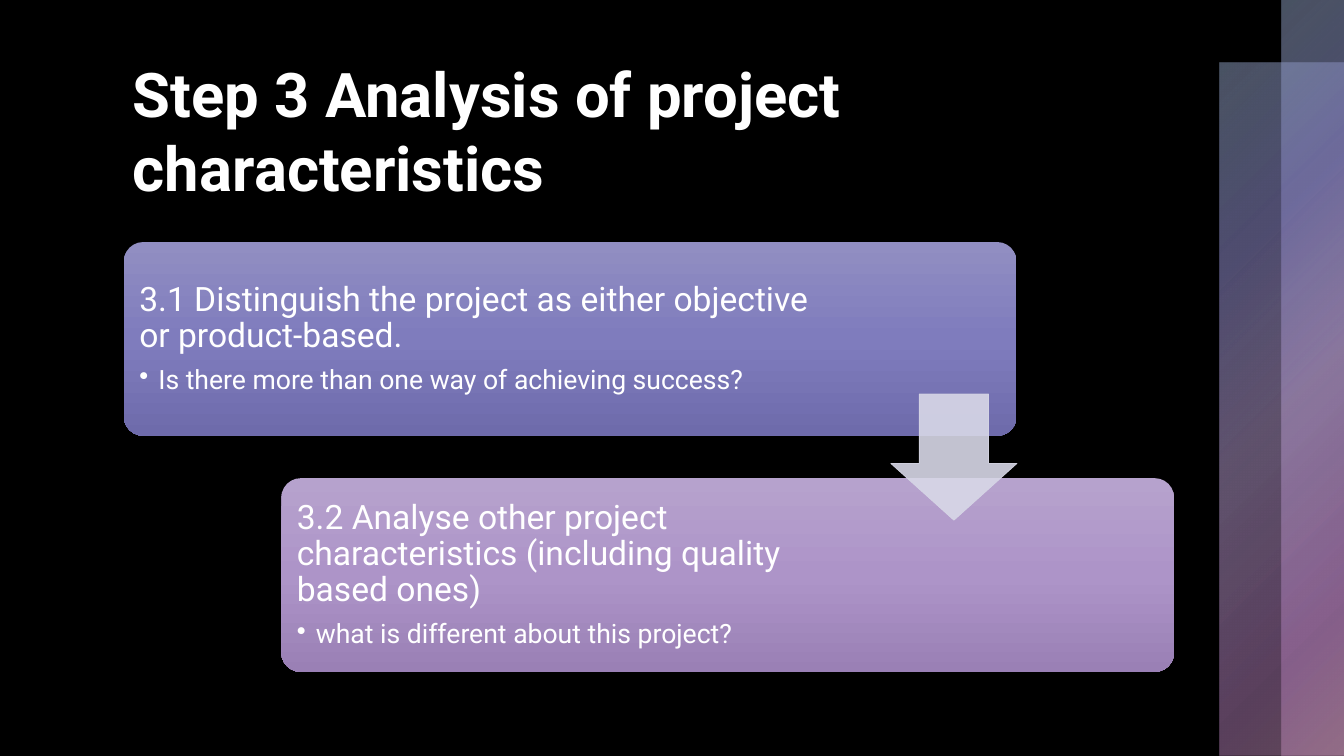
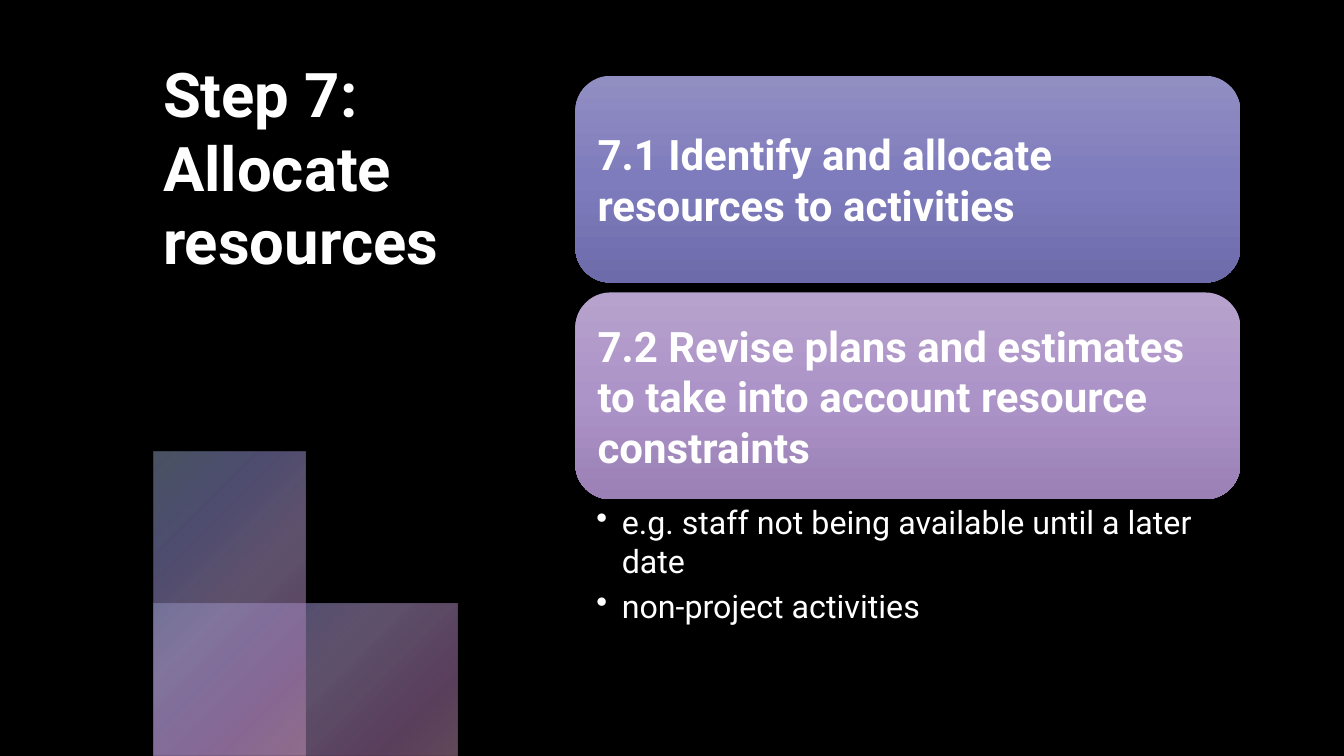
from dataclasses import dataclass
from typing import NamedTuple

from pptx import Presentation
from pptx.dml.color import RGBColor
from pptx.enum.shapes import MSO_SHAPE as Preset
from pptx.enum.text import MSO_ANCHOR as Anchor, PP_ALIGN as Align
from pptx.oxml import parse_xml
from pptx.oxml.ns import nsdecls, qn
from pptx.shapes.autoshape import Shape
from pptx.slide import Slide
from pptx.text.text import TextFrame
from pptx.util import Cm, Pt


class Stop(NamedTuple):
    percent: int
    color: str
    opacity: int = 100


class Box(NamedTuple):
    """Left, top, width and height in centimetres."""
    left: float
    top: float
    width: float
    height: float

    def emu(self) -> list[Cm]:
        return [Cm(value) for value in self]

    def moved(self, right: float, down: float) -> "Box":
        return self._replace(left=self.left + right, top=self.top + down)


class Margins(NamedTuple):
    """Left, top, right and bottom in centimetres."""
    left: float
    top: float
    right: float
    bottom: float


@dataclass(frozen=True)
class Theme:
    width: float = 33.87
    height: float = 19.05
    font: str = "Roboto"
    background: str = "000000"
    text: str = "FFFFFF"
    arrow: str = "D8D8E7"
    arrow_opacity: int = 90
    title_size: int = 44
    step_size: int = 24
    step_detail_size: int = 19
    card_size: int = 30
    card_detail_size: int = 23
    blue: tuple[Stop, ...] = (Stop(0, "918EC2"), Stop(50, "7F7CBD"), Stop(100, "6E6BAB"))
    violet: tuple[Stop, ...] = (Stop(0, "B6A2CD"), Stop(50, "AD94C8"), Stop(100, "9A80B5"))
    band: tuple[Stop, ...] = (
        Stop(0, "92A4C4", 50), Stop(25, "827FBA", 60), Stop(50, "AD96C6", 55),
        Stop(81, "B37FBA", 50), Stop(99, "C593B5", 50),
    )


THEME = Theme()
DOWNWARD = '<a:lin ang="5400000" scaled="0"/>'
FROM_TOP_LEFT = '<a:path path="circle"><a:fillToRect r="100000" b="100000"/></a:path>'


@dataclass(frozen=True)
class Line:
    text: str
    size: int
    space_after: float  # share of the type size
    bold: bool = False
    spacing: float = 1.0
    bullet_indent: float = 0.0


@dataclass(frozen=True)
class Card:
    box: Box
    stops: tuple[Stop, ...]
    margins: Margins
    lines: list[Line]
    corner: float


def write_lines(frame: TextFrame, lines: list[Line], margins: Margins) -> None:
    frame.word_wrap = True
    frame.margin_left, frame.margin_top, frame.margin_right, frame.margin_bottom = map(Cm, margins)
    for index, line in enumerate(lines):
        paragraph = frame.paragraphs[0] if index == 0 else frame.add_paragraph()
        paragraph.text = line.text
        paragraph.alignment = Align.LEFT
        paragraph.line_spacing = line.spacing
        paragraph.space_after = Pt(line.size * line.space_after)
        if line.bullet_indent:
            paragraph.level = 1
            properties = paragraph._p.get_or_add_pPr()
            properties.set("marL", str(Cm(line.bullet_indent)))
            properties.set("indent", str(-Cm(line.bullet_indent)))
            properties.append(parse_xml(f'<a:buChar {nsdecls("a")} char="•"/>'))
        for run in paragraph.runs:
            run.font.name = THEME.font
            run.font.size = Pt(line.size)
            run.font.bold = line.bold
            run.font.color.rgb = RGBColor.from_string(THEME.text)


def add_text(slide: Slide, box: Box, lines: list[Line], margins: Margins) -> None:
    write_lines(slide.shapes.add_textbox(*box.emu()).text_frame, lines, margins)


def add_title(slide: Slide, box: Box, text: str) -> None:
    title = Line(text, THEME.title_size, 0, bold=True)
    add_text(slide, box, [title], Margins(0.25, 0.13, 0.25, 0.13))


def add_gradient_shape(
    slide: Slide, preset: Preset, box: Box, stops: tuple[Stop, ...], direction: str
) -> Shape:
    shape = slide.shapes.add_shape(preset, *box.emu())
    shape.shadow.inherit = False
    shape.line.fill.background()
    stop_list = "".join(
        f'<a:gs pos="{stop.percent * 1000}"><a:srgbClr val="{stop.color}">'
        f'<a:alpha val="{stop.opacity * 1000}"/></a:srgbClr></a:gs>'
        for stop in stops
    )
    gradient = parse_xml(
        f'<a:gradFill {nsdecls("a")} rotWithShape="1">'
        f"<a:gsLst>{stop_list}</a:gsLst>{direction}</a:gradFill>"
    )
    shape.element.spPr.find(qn("a:prstGeom")).addnext(gradient)
    return shape


def add_bands(slide: Slide, boxes: list[Box]) -> None:
    for box in boxes:
        add_gradient_shape(slide, Preset.RECTANGLE, box, THEME.band, FROM_TOP_LEFT)


def add_card(slide: Slide, card: Card) -> None:
    panel = add_gradient_shape(slide, Preset.ROUNDED_RECTANGLE, card.box, card.stops, DOWNWARD)
    panel.adjustments[0] = card.corner
    panel.text_frame.vertical_anchor = Anchor.MIDDLE
    write_lines(panel.text_frame, card.lines, card.margins)


def add_down_arrow(slide: Slide, box: Box) -> None:
    arrow = slide.shapes.add_shape(Preset.DOWN_ARROW, *box.emu())
    arrow.shadow.inherit = False
    arrow.adjustments[0], arrow.adjustments[1] = 0.55, 0.45
    arrow.line.width = Pt(0.5)
    arrow.fill.solid()
    for color in (arrow.fill.fore_color, arrow.line.color):
        color.rgb = RGBColor.from_string(THEME.arrow)
    for color in arrow.element.spPr.iter(qn("a:srgbClr")):
        color.append(parse_xml(f'<a:alpha {nsdecls("a")} val="{THEME.arrow_opacity * 1000}"/>'))


def new_slide(deck: Presentation) -> Slide:
    slide = deck.slides.add_slide(deck.slide_layouts[6])
    slide.background.fill.solid()
    slide.background.fill.fore_color.rgb = RGBColor.from_string(THEME.background)
    return slide


def build_characteristics(deck: Presentation) -> None:
    slide = new_slide(deck)
    unit = 1.57
    add_bands(slide, [
        Box(THEME.width - 2 * unit, unit, 2 * unit, THEME.height - unit),
        Box(THEME.width - unit, 0, unit, THEME.height),
    ])
    add_title(slide, Box(3.1, 1.27, 26.34, 4.32), "Step 3 Analysis of project characteristics")

    first = Box(3.12, 6.1, 22.5, 4.88)
    steps = [
        ("3.1 Distinguish the project as either objective or product-based.",
         "Is there more than one way of achieving success?", THEME.blue, 5.03),
        ("3.2 Analyse other project characteristics (including quality based ones)",
         "what is different about this project?", THEME.violet, 7.42),
    ]
    for index, (heading, question, stops, right_margin) in enumerate(steps):
        lines = [
            Line(heading, THEME.step_size, 0.35, spacing=0.9),
            Line(question, THEME.step_detail_size, 0.15, spacing=0.9, bullet_indent=0.48),
        ]
        add_card(slide, Card(first.moved(index * 3.97, index * 5.95), stops,
                             Margins(0.25, 0.25, right_margin, 0.25), lines, 0.1))
    add_down_arrow(slide, Box(22.45, 9.93, 3.18, 3.18))


def build_resources(deck: Presentation) -> None:
    slide = new_slide(deck)
    left, unit = 3.86, 3.84
    add_bands(slide, [
        Box(left, THEME.height - unit, 2 * unit, unit),
        Box(left, THEME.height - 2 * unit, unit, 2 * unit),
    ])
    add_title(slide, Box(left, 1.27, 8.84, 9.42), "Step 7: Allocate resources")

    first = Box(14.5, 1.91, 16.76, 5.21)
    cards = [
        ("7.1 Identify and allocate resources to activities", THEME.blue),
        ("7.2 Revise plans and estimates to take into account resource constraints", THEME.violet),
    ]
    for index, (heading, stops) in enumerate(cards):
        lines = [Line(heading, THEME.card_size, 0.35, bold=True)]
        add_card(slide, Card(first.moved(0, index * 5.46), stops,
                             Margins(0.3, 0.3, 0.3, 0.3), lines, 0.17))

    constraints = ["e.g. staff not being available until a later date", "non-project activities"]
    add_text(
        slide, Box(14.5, 12.57, 16.76, 3.45),
        [Line(text, THEME.card_detail_size, 0.2, bullet_indent=0.64) for text in constraints],
        Margins(0.53, 0.1, 0.58, 0.1),
    )


def main() -> None:
    deck = Presentation()
    deck.slide_width, deck.slide_height = Cm(THEME.width), Cm(THEME.height)
    build_characteristics(deck)
    build_resources(deck)
    deck.save("out.pptx")


if __name__ == "__main__":
    main()
